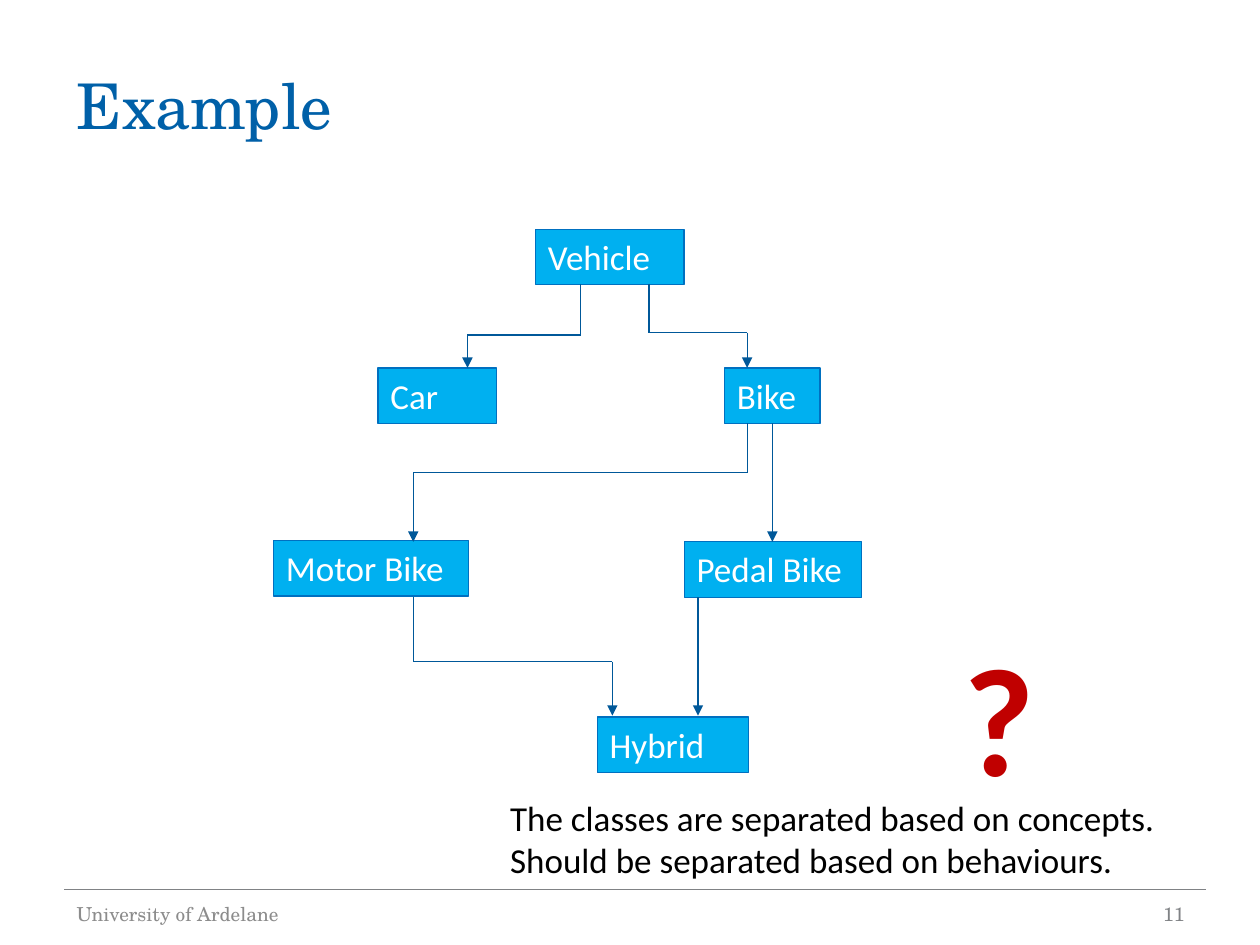
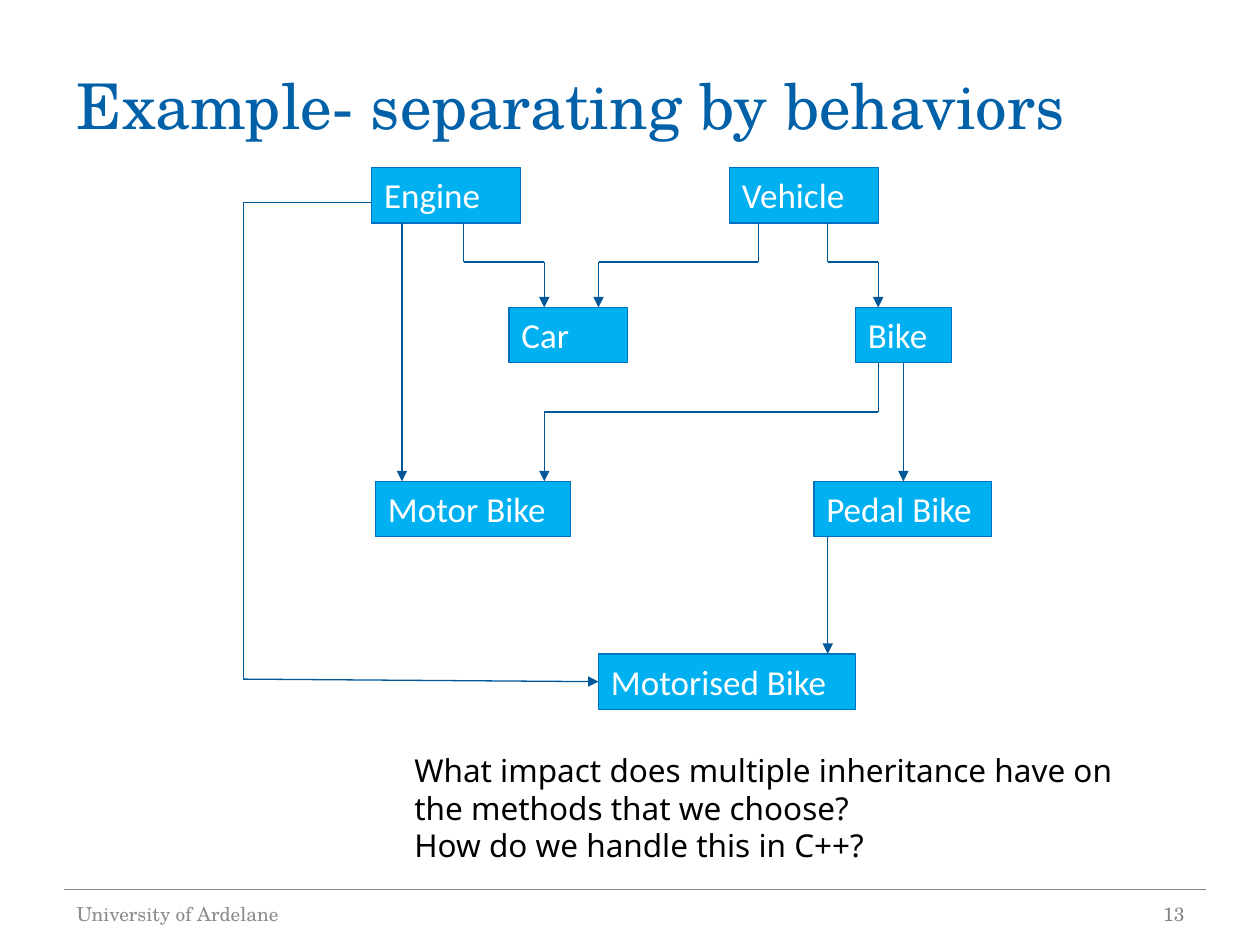
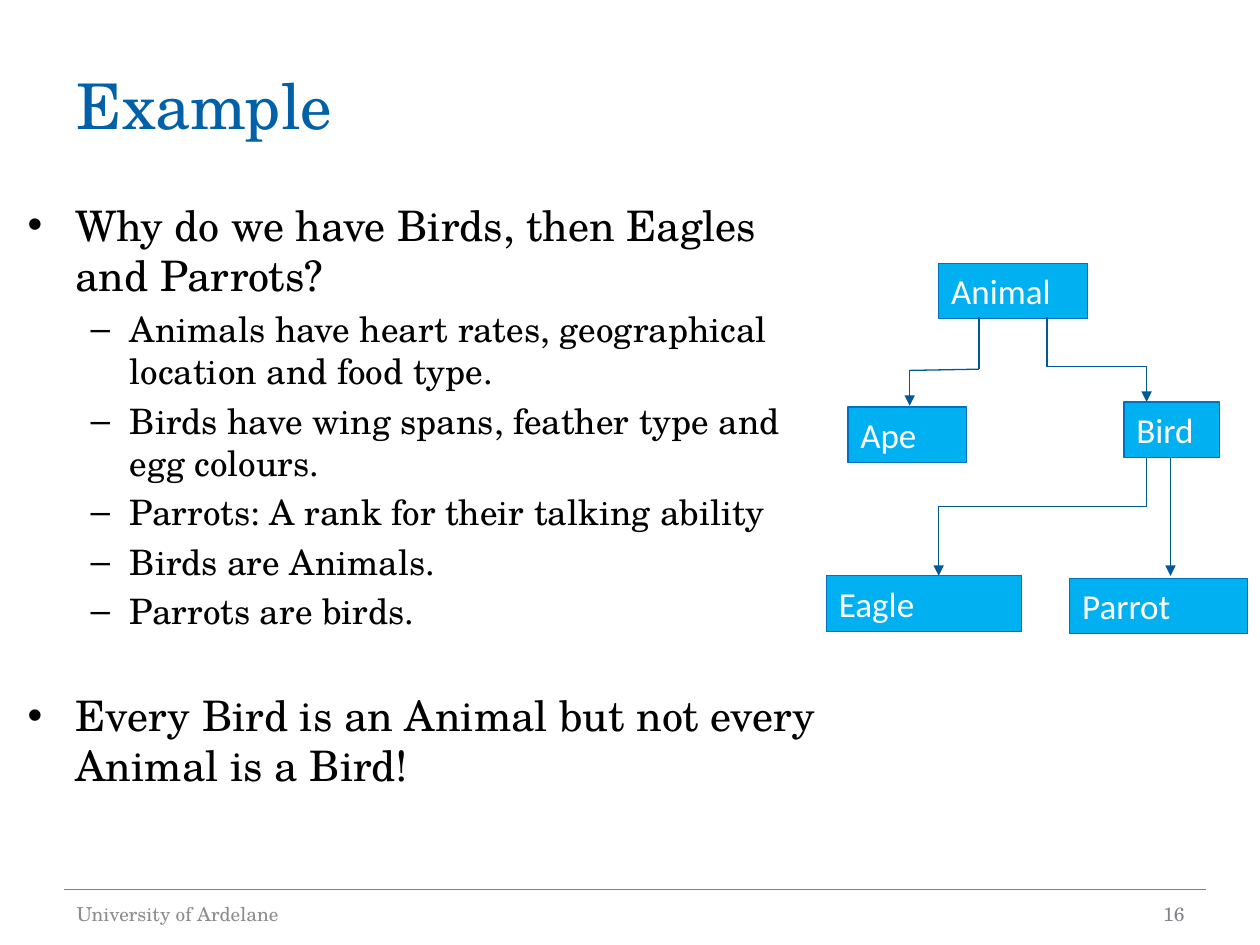
from dataclasses import dataclass
from itertools import pairwise

from lxml.etree import SubElement
from pptx import Presentation
from pptx.dml.color import RGBColor as Color
from pptx.enum.shapes import MSO_CONNECTOR as Connector, MSO_SHAPE as Shape
from pptx.enum.text import MSO_ANCHOR as Anchor, MSO_AUTO_SIZE as AutoSize, PP_ALIGN as Align
from pptx.oxml.ns import qn
from pptx.util import Inches, Pt


@dataclass(frozen=True)
class Theme:
    serif: str = "TeX Gyre Schola"
    sans: str = "Calibri"
    note_sans: str = "Noto Sans"
    title: Color = Color.from_string("0060A8")
    text: Color = Color.from_string("000000")
    footer: Color = Color.from_string("8C8C8C")
    rule: Color = Color.from_string("808285")
    box_fill: Color = Color.from_string("00B0F0")
    box_line: Color = Color.from_string("0070C0")
    box_text: Color = Color.from_string("FFFFFF")
    arrow: Color = Color.from_string("005899")
    question: Color = Color.from_string("C00000")
    title_size: int = 36
    body_sizes: tuple = (24, 20)
    box_size: int = 20
    note_size: int = 18
    footer_size: int = 11
    question_size: int = 88
    line_width: float = 0.75


theme = Theme()
FOOTER = "University of Ardelane"
BOX_HEIGHT = 0.44

slides = [
    {
        "title": "Example",
        "number": 11,
        "boxes": [
            ("Vehicle", 4.25, 1.82, 1.18),
            ("Car", 3, 2.92, 0.94),
            ("Bike", 5.75, 2.92, 0.76),
            ("Motor Bike", 2.17, 4.29, 1.55),
            ("Pedal Bike", 5.43, 4.3, 1.41),
            ("Hybrid", 4.74, 5.69, 1.2),
        ],
        "arrows": [
            [(4.61, 2.25), (4.61, 2.66), (3.71, 2.66), (3.71, 2.92)],
            [(5.15, 2.25), (5.15, 2.64), (5.93, 2.64), (5.93, 2.92)],
            [(5.93, 3.36), (5.93, 3.75), (3.28, 3.75), (3.28, 4.3)],
            [(6.13, 3.36), (6.13, 4.3)],
            [(3.28, 4.74), (3.28, 5.25), (4.86, 5.25), (4.86, 5.68)],
            [(5.54, 4.74), (5.54, 5.68)],
        ],
        "notes": [
            ((7.55, 4.89, 1.62, 1.58), ["?"],
             theme.sans, theme.question_size, theme.question, True),
            ((3.95, 6.27, 5.38, 0.77),
             ["The classes are separated based on concepts.",
              "Should be separated based on behaviours."],
             theme.sans, theme.box_size, theme.text, False),
        ],
        "bullets": [],
    },
    {
        "title": "Example- separating by behaviors",
        "number": 13,
        "boxes": [
            ("Engine", 2.95, 1.33, 1.18),
            ("Vehicle", 5.79, 1.33, 1.18),
            ("Car", 4.04, 2.44, 0.94),
            ("Bike", 6.79, 2.44, 0.76),
            ("Motor Bike", 2.98, 3.82, 1.55),
            ("Pedal Bike", 6.46, 3.82, 1.41),
            ("Motorised Bike", 4.75, 5.19, 2.04),
        ],
        "arrows": [
            [(2.95, 1.61), (1.93, 1.61), (1.93, 5.39), (4.75, 5.41)],
            [(3.19, 1.77), (3.19, 3.82)],
            [(3.68, 1.77), (3.68, 2.08), (4.32, 2.08), (4.32, 2.44)],
            [(6.02, 1.77), (6.02, 2.08), (4.75, 2.08), (4.75, 2.44)],
            [(6.57, 1.77), (6.57, 2.08), (6.97, 2.08), (6.97, 2.44)],
            [(6.97, 2.88), (6.97, 3.27), (4.32, 3.27), (4.32, 3.82)],
            [(7.17, 2.88), (7.17, 3.82)],
            [(6.57, 4.25), (6.57, 5.19)],
        ],
        "notes": [
            ((3.19, 5.91, 5.96, 1.01),
             ["What impact does multiple inheritance have on the methods that we choose?",
              "How do we handle this in C++?"],
             theme.note_sans, theme.note_size, theme.text, False),
        ],
        "bullets": [],
    },
    {
        "title": "Example",
        "number": 16,
        "boxes": [
            ("Animal", 7.45, 2.09, 1.18),
            ("Ape", 6.73, 3.23, 0.94),
            ("Bird", 8.92, 3.19, 0.76),
            ("Eagle", 6.56, 4.57, 1.55),
            ("Parrot", 8.49, 4.59, 1.41),
        ],
        "arrows": [
            [(7.77, 2.52), (7.77, 2.93), (7.22, 2.94), (7.22, 3.22)],
            [(8.31, 2.52), (8.31, 2.91), (9.1, 2.91), (9.1, 3.19)],
            [(9.1, 3.63), (9.1, 4.02), (7.45, 4.02), (7.45, 4.57)],
            [(9.29, 3.63), (9.29, 4.57)],
        ],
        "notes": [],
        "bullets": [
            (0, 5, "Why do we have Birds, then Eagles and Parrots?"),
            (1, 4.3, "Animals have heart rates, geographical location and food type."),
            (1, 4.3, "Birds have wing spans, feather type and egg colours."),
            (1, 4.3, "Parrots: A rank for their talking ability"),
            (1, 4.3, "Birds are Animals."),
            (1, 4.3, "Parrots are birds."),
            (0, 33, "Every Bird is an Animal but not every Animal is a Bird!"),
        ],
    },
]


def write_text(shape, lines, font_name, size, color, bold=False,
               align=Align.LEFT, anchor=Anchor.TOP):
    frame = shape.text_frame
    frame.word_wrap = True
    frame.auto_size = AutoSize.NONE
    frame.vertical_anchor = anchor
    frame.text = "\n".join(lines)
    for paragraph in frame.paragraphs:
        paragraph.alignment = align
        font = paragraph.font
        font.name, font.size, font.bold = font_name, Pt(size), bold
        font.color.rgb = color


def draw_line(slide, start, end, color, arrowhead=False):
    line = slide.shapes.add_connector(
        Connector.STRAIGHT, *(Inches(value) for value in (*start, *end)))
    line.line.color.rgb = color
    line.line.width = Pt(theme.line_width)
    if arrowhead:
        SubElement(line.line._get_or_add_ln(), qn("a:tailEnd"), type="triangle")
    SubElement(line._element.spPr, qn("a:effectLst"))


presentation = Presentation()
presentation.slide_width = Inches(10)
presentation.slide_height = Inches(7.5)

for content in slides:
    layout = presentation.slide_layouts[1 if content["bullets"] else 5]
    slide = presentation.slides.add_slide(layout)
    draw_line(slide, (0.51, 7.06), (9.57, 7.06), theme.rule)

    title = slide.shapes.title
    title.left, title.top, title.width, title.height = map(Inches, (0.51, 0.36, 9, 0.93))
    write_text(title, [content["title"]], theme.serif, theme.title_size, theme.title,
               anchor=Anchor.MIDDLE)

    for left, width, text, color, align in [
        (0.51, 3.17, FOOTER, theme.footer, Align.LEFT),
        (7.17, 2.33, str(content["number"]), theme.rule, Align.RIGHT),
    ]:
        footer = slide.shapes.add_textbox(*map(Inches, (left, 7.05, width, 0.4)))
        write_text(footer, [text], theme.serif, theme.footer_size, color,
                   align=align, anchor=Anchor.MIDDLE)

    if content["bullets"]:
        body = slide.placeholders[1]
        body.left, body.top, body.width, body.height = map(Inches, (0.12, 1.53, 6.52, 5.15))
        write_text(body, [text for _, _, text in content["bullets"]],
                   theme.serif, theme.body_sizes[0], theme.text)
        for paragraph, (level, gap, _) in zip(body.text_frame.paragraphs, content["bullets"]):
            paragraph.level = level
            paragraph.space_before = Pt(gap)
            paragraph.font.size = Pt(theme.body_sizes[level])
            margin, indent, bullet = [(0.38, -0.38, "•"), (0.81, -0.31, "–")][level]
            properties = paragraph._p.get_or_add_pPr()
            properties.set("marL", str(Inches(margin)))
            properties.set("indent", str(Inches(indent)))
            mark = SubElement(properties, qn("a:buChar"), char=bullet)
            properties.find(qn("a:defRPr")).addprevious(mark)

    for name, left, top, width in content["boxes"]:
        box = slide.shapes.add_shape(
            Shape.RECTANGLE, *map(Inches, (left, top, width, BOX_HEIGHT)))
        box.shadow.inherit = False
        box.fill.solid()
        box.fill.fore_color.rgb = theme.box_fill
        box.line.color.rgb = theme.box_line
        box.line.width = Pt(theme.line_width)
        write_text(box, [name], theme.sans, theme.box_size, theme.box_text)

    for route in content["arrows"]:
        for start, end in pairwise(route):
            draw_line(slide, start, end, theme.arrow, arrowhead=end == route[-1])

    for bounds, lines, font_name, size, color, bold in content["notes"]:
        note = slide.shapes.add_textbox(*map(Inches, bounds))
        write_text(note, lines, font_name, size, color, bold)

presentation.save("out.pptx")
